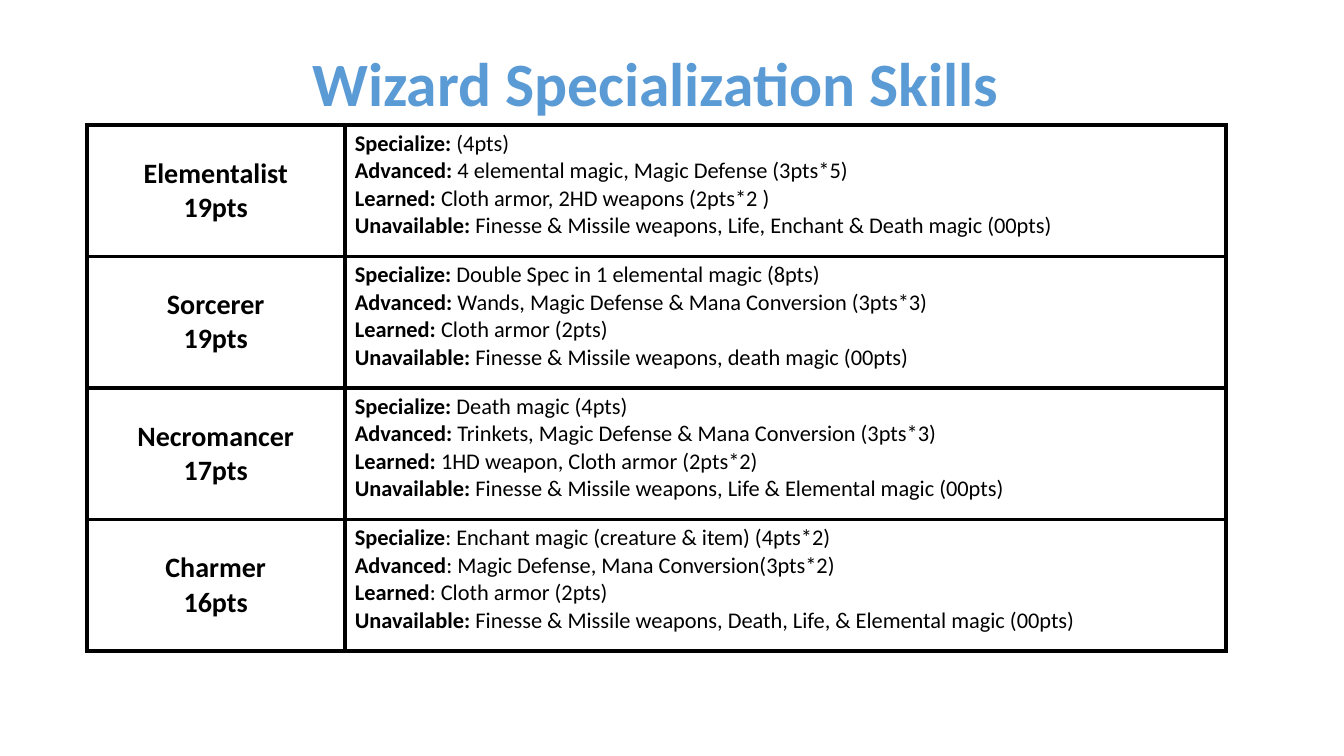
import pptx
import pptx.dml.color
import pptx.enum.text
import pptx.oxml
import pptx.oxml.ns
import pptx.util

Inches = pptx.util.Inches
Pt = pptx.util.Pt
RGBColor = pptx.dml.color.RGBColor
Align = pptx.enum.text.PP_ALIGN

BLUE = RGBColor(0x5B, 0x9B, 0xD5)
BLACK = RGBColor(0, 0, 0)
FONT = "Calibri"
LEVELS = ("Specialize", "Advanced", "Learned", "Unavailable")
WIZARDS = (
    ("Elementalist", "19pts", (
        "(4pts)",
        "4 elemental magic, Magic Defense (3pts*5)",
        "Cloth armor, 2HD weapons (2pts*2 )",
        "Finesse & Missile weapons, Life, Enchant & Death magic (00pts)")),
    ("Sorcerer", "19pts", (
        "Double Spec in 1 elemental magic (8pts)",
        "Wands, Magic Defense & Mana Conversion (3pts*3)",
        "Cloth armor (2pts)",
        "Finesse & Missile weapons, death magic (00pts)")),
    ("Necromancer", "17pts", (
        "Death magic (4pts)",
        "Trinkets, Magic Defense & Mana Conversion (3pts*3)",
        "1HD weapon, Cloth armor (2pts*2)",
        "Finesse & Missile weapons, Life & Elemental magic (00pts)")),
    ("Charmer", "16pts", (
        ": Enchant magic (creature & item) (4pts*2)",
        ": Magic Defense, Mana Conversion(3pts*2)",
        ": Cloth armor (2pts)",
        "Finesse & Missile weapons, Death, Life, & Elemental magic (00pts)")),
)


def write(para, text, size=16, bold=False, color=BLACK, align=Align.LEFT):
    """Add a formatted run to a paragraph."""
    para.alignment = align
    run = para.add_run()
    run.text = text
    run.font.name = FONT
    run.font.size = Pt(size)
    run.font.bold = bold
    run.font.color.rgb = color


def add_lines(frame, count):
    """Return the given number of paragraphs of an empty text frame."""
    return [frame.paragraphs[0]] + [frame.add_paragraph() for _ in range(count - 1)]


def add_title(slide, text):
    """Add the heading above the table."""
    box = slide.shapes.add_textbox(Inches(2.97), Inches(0.4), Inches(7.07), Inches(0.84))
    frame = box.text_frame
    frame.word_wrap = False
    frame.auto_size = pptx.enum.text.MSO_AUTO_SIZE.SHAPE_TO_FIT_TEXT
    write(frame.paragraphs[0], text, size=44, bold=True, color=BLUE, align=Align.CENTER)


def style_cell(cell):
    """Give a cell solid borders and no fill."""
    props = cell._tc.get_or_add_tcPr()
    for side in "LRTB":
        props.append(pptx.oxml.parse_xml(
            f'<a:ln{side} {pptx.oxml.ns.nsdecls("a")} w="{Pt(3)}">'
            f'<a:solidFill><a:srgbClr val="{BLACK}"/></a:solidFill></a:ln{side}>'))
    cell.fill.background()


def fill_name(cell, name, points):
    """Write a wizard's name and total points."""
    cell.vertical_anchor = pptx.enum.text.MSO_ANCHOR.MIDDLE
    for para, text in zip(add_lines(cell.text_frame, 2), (name, points)):
        write(para, text, size=20, bold=True, align=Align.CENTER)


def fill_skills(cell, skills):
    """Write one line for each skill level."""
    for para, level, skill in zip(add_lines(cell.text_frame, len(LEVELS)), LEVELS, skills):
        write(para, level if skill.startswith(":") else f"{level}: ", bold=True)
        write(para, skill)


def add_grid(slide):
    """Add the table of wizards and their skills."""
    frame = slide.shapes.add_table(
        len(WIZARDS), 2, Inches(0.86), Inches(1.24), Inches(11.3), Inches(5.22))
    table = frame.table
    table.first_row = table.horz_banding = False
    for column, width in zip(table.columns, (2.56, 8.74)):
        column.width = Inches(width)
    for row, (name, points, skills) in zip(table.rows, WIZARDS):
        for cell in row.cells:
            style_cell(cell)
        fill_name(row.cells[0], name, points)
        fill_skills(row.cells[1], skills)


def main():
    """Build and save the slide."""
    deck = pptx.Presentation()
    deck.slide_width = Inches(13.33)
    deck.slide_height = Inches(7.5)
    slide = deck.slides.add_slide(deck.slide_layouts[6])
    add_title(slide, "Wizard Specialization Skills")
    add_grid(slide)
    deck.save("out.pptx")


if __name__ == "__main__":
    main()
